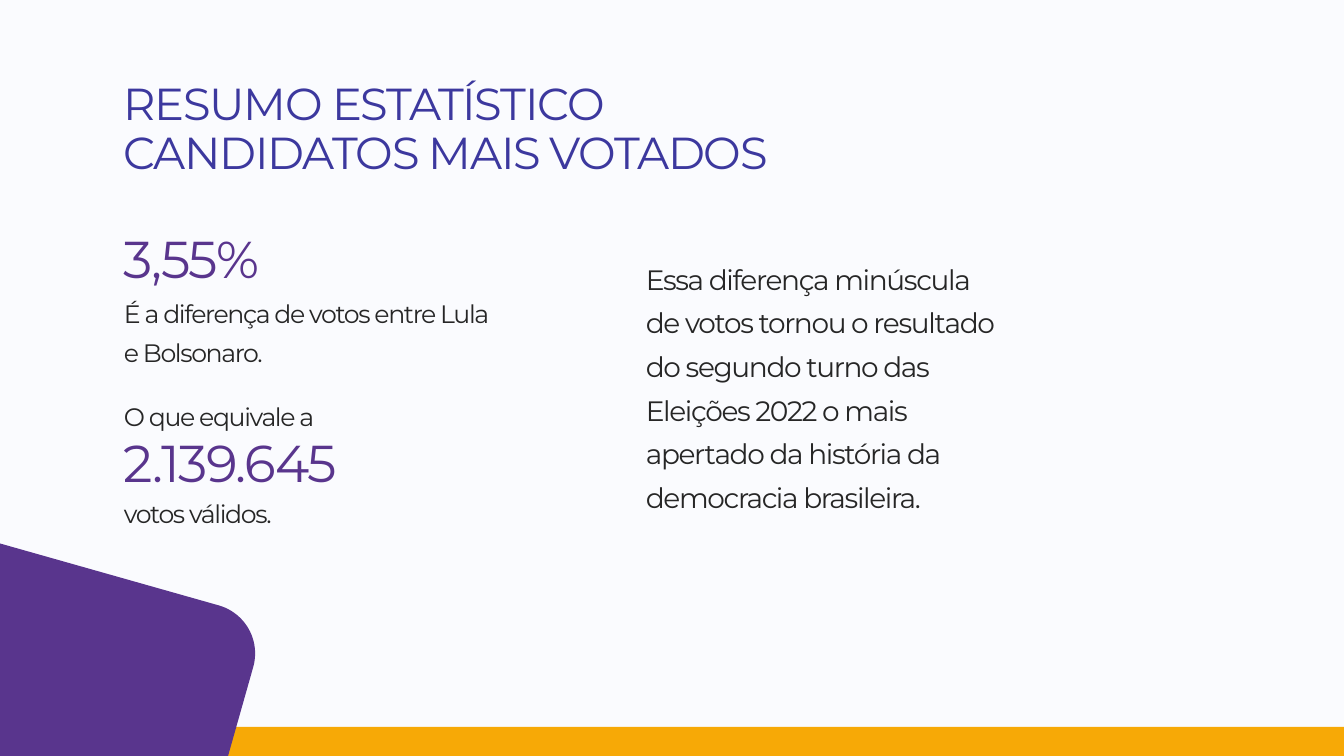
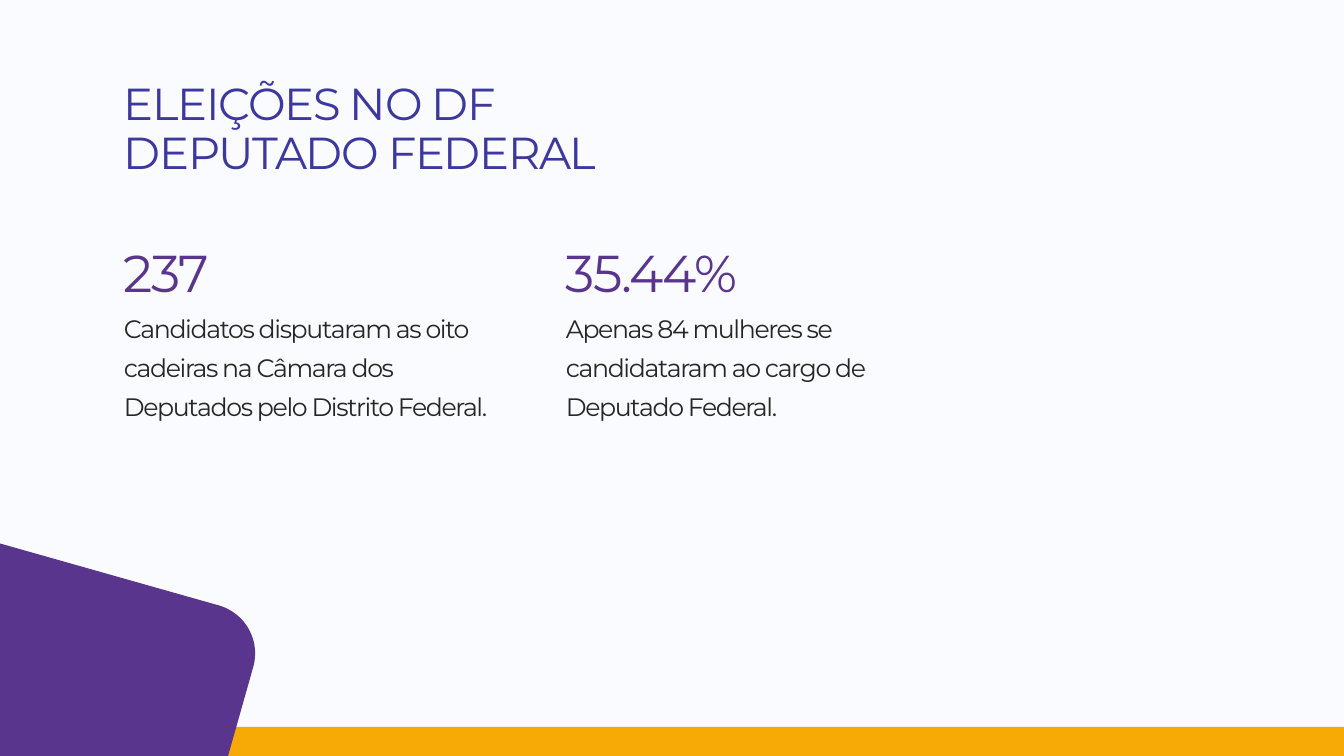
"""Build two slides of Brazilian election figures."""
from pptx import Presentation
from pptx import util as u
from pptx.dml.color import RGBColor
from pptx.enum import shapes, text

EMU_PER_PX = 914400 / 100.8
WIDTH, HEIGHT = 1344, 756
MARGIN = 114

BACKGROUND = RGBColor(0xFA, 0xFB, 0xFE)
ORANGE = RGBColor(0xF7, 0xA9, 0x06)
PURPLE = RGBColor(0x59, 0x35, 0x8D)
INDIGO = RGBColor(0x3C, 0x38, 0x9E)
INK = RGBColor(0x26, 0x26, 0x26)

TOP, BOTTOM = text.MSO_ANCHOR.TOP, text.MSO_ANCHOR.BOTTOM
STYLES = {
    "title": {"size": 32, "color": INDIGO, "spacing": 0.9, "anchor": BOTTOM},
    "figure": {"size": 37, "color": PURPLE, "spacing": 0.9, "anchor": BOTTOM},
    "body": {"size": 18, "color": INK, "spacing": 1.3, "anchor": TOP},
    "lead": {"size": 20, "color": INK, "spacing": 1.3, "anchor": TOP},
}

SLIDES = [
    {
        "title": ["RESUMO ESTATÍSTICO", "CANDIDATOS MAIS VOTADOS"],
        "texts": [
            ("body", MARGIN, 284, 389, 94, "É a diferença de votos entre Lula e Bolsonaro."),
            ("figure", MARGIN, 223, 337, 72, "3,55%"),
            ("body", MARGIN, 387, 389, 94, "O que equivale a"),
            ("figure", MARGIN, 427, 337, 72, "2.139.645"),
            ("body", MARGIN, 484, 389, 94, "votos válidos."),
            ("lead", 636, 247, 379, 279,
             "Essa diferença minúscula de votos tornou o resultado do segundo turno das "
             "Eleições 2022 o mais apertado da história da democracia brasileira."),
        ],
    },
    {
        "title": ["ELEIÇÕES NO DF", "DEPUTADO FEDERAL"],
        "texts": [
            ("body", MARGIN, 299, 389, 138,
             "Candidatos disputaram as oito cadeiras na Câmara dos Deputados pelo Distrito Federal."),
            ("figure", MARGIN, 237, 337, 72, "237"),
            ("body", 556, 299, 389, 138,
             "Apenas 84 mulheres se candidataram ao cargo de Deputado Federal."),
            ("figure", 556, 237, 337, 72, "35.44%"),
        ],
    },
]


def add_shape(slide, kind, box, color):
    shape = slide.shapes.add_shape(kind, *[round(px * EMU_PER_PX) for px in box])
    shape.shadow.inherit = False
    shape.fill.solid()
    shape.fill.fore_color.rgb = color
    shape.line.fill.background()
    return shape


def add_text(slide, style_name, box, lines):
    style = STYLES[style_name]
    frame = slide.shapes.add_textbox(*[round(px * EMU_PER_PX) for px in box]).text_frame
    frame.word_wrap = True
    frame.vertical_anchor = style["anchor"]
    for index, line in enumerate(lines):
        paragraph = frame.add_paragraph() if index else frame.paragraphs[0]
        paragraph.line_spacing = style["spacing"]
        run = paragraph.add_run()
        run.text = line
        for name, value in {"name": "Montserrat", "size": u.Pt(style["size"])}.items():
            setattr(run.font, name, value)
        run.font.color.rgb = style["color"]
        run._r.get_or_add_rPr().set("spc", "-100")


presentation = Presentation()
presentation.slide_width = round(WIDTH * EMU_PER_PX)
presentation.slide_height = round(HEIGHT * EMU_PER_PX)

for content in SLIDES:
    slide = presentation.slides.add_slide(presentation.slide_layouts[6])
    slide.background.fill.solid()
    slide.background.fill.fore_color.rgb = BACKGROUND
    add_shape(slide, shapes.MSO_SHAPE.RECTANGLE, (0, 727, WIDTH, HEIGHT - 727), ORANGE)
    corner = add_shape(slide, shapes.MSO_SHAPE.ROUNDED_RECTANGLE, (-173, 558, 405, 312), PURPLE)
    corner.rotation = 15.8
    corner.adjustments[0] = 0.16
    add_text(slide, "title", (MARGIN, 69, 789, 115), content["title"])
    for style_name, *box, line in content["texts"]:
        add_text(slide, style_name, box, [line])

presentation.save("out.pptx")
